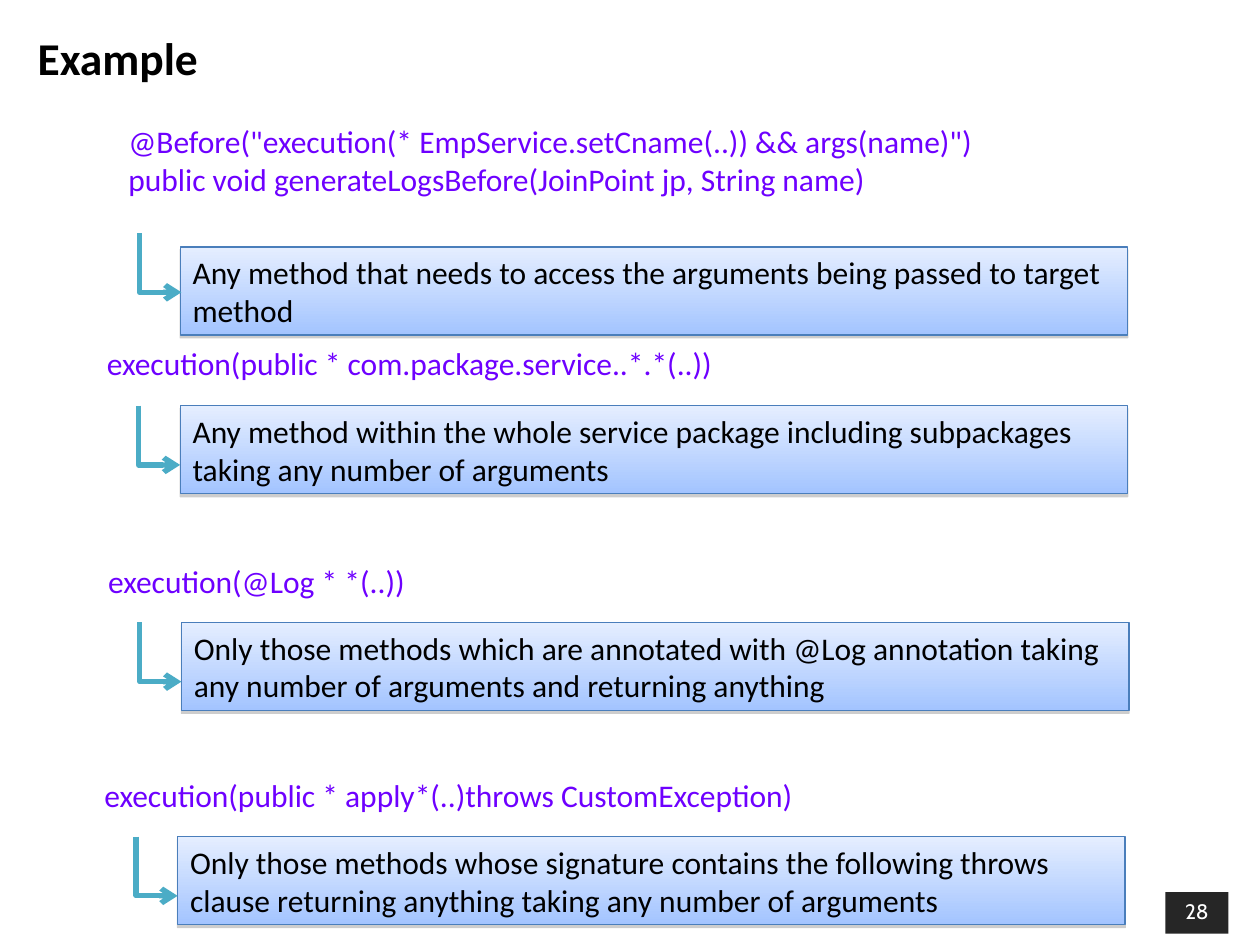
from lxml.etree import SubElement
from pptx import Presentation
from pptx.dml.color import RGBColor
from pptx.enum.shapes import MSO_CONNECTOR, MSO_SHAPE
from pptx.enum.text import MSO_ANCHOR, MSO_AUTO_SIZE, PP_ALIGN
from pptx.oxml.ns import qn
from pptx.util import Inches, Pt

BLACK = RGBColor(0x00, 0x00, 0x00)
WHITE = RGBColor(0xFF, 0xFF, 0xFF)
CHARCOAL = RGBColor(0x26, 0x26, 0x26)
VIOLET = RGBColor(0x6E, 0x00, 0xFF)
PALE_BLUE = RGBColor(0xE5, 0xEE, 0xFF)
LIGHT_BLUE = RGBColor(0xA3, 0xC4, 0xFF)
BORDER_BLUE = RGBColor(0x4A, 0x7E, 0xBB)
TEAL = RGBColor(0x4B, 0xAC, 0xC6)
SHADOW_GREY = RGBColor(0x80, 0x80, 0x80)

TITLE_FONT = {"name": "Calibri", "size": Pt(26), "bold": True}
BODY_FONT = {"name": "Calibri", "size": Pt(18)}
NUMBER_FONT = {"name": "Cabin", "size": Pt(12)}

BOX_WIDTH, BOX_HEIGHT = 7.52, 0.7
CODE_WIDTH = 8.2
ELBOW_WIDTH, ELBOW_HEIGHT = 0.33, 0.47

# code lines, code position, explanation, box position, elbow start
EXAMPLES = [
    (["execution(public * com.package.service..*.*(..))"], (0.75, 2.68),
     "Any method within the whole service package including subpackages "
     "taking any number of arguments", (1.43, 3.22), (1.1, 3.22)),
    (["execution(@Log * *(..))"], (0.76, 4.41),
     "Only those methods which are annotated with @Log annotation taking "
     "any number of arguments and returning anything", (1.44, 4.94), (1.11, 4.94)),
    (["execution(public * apply*(..)throws CustomException)"], (0.73, 6.11),
     "Only those methods whose signature contains the following throws "
     "clause returning anything taking any number of arguments", (1.41, 6.64), (1.08, 6.64)),
    (['@Before("execution(* EmpService.setCname(..)) && args(name)")',
      "public void generateLogsBefore(JoinPoint jp, String name)"], (0.92, 0.92),
     "Any method that needs to access the arguments being passed to target "
     "method", (1.43, 1.96), (1.11, 1.85)),
]


def write_text(shape, lines, font, color, align=PP_ALIGN.LEFT,
               anchor=MSO_ANCHOR.TOP, auto_size=MSO_AUTO_SIZE.SHAPE_TO_FIT_TEXT):
    frame = shape.text_frame
    frame.word_wrap = True
    frame.auto_size = auto_size
    frame.vertical_anchor = anchor
    frame.text = "\n".join(lines)
    for paragraph in frame.paragraphs:
        paragraph.alignment = align
        for name, value in font.items():
            setattr(paragraph.font, name, value)
        paragraph.font.color.rgb = color


def add_text(slide, position, size, lines, font, color, **layout):
    shape = slide.shapes.add_textbox(*map(Inches, position + size))
    write_text(shape, lines, font, color, **layout)


def add_rectangle(slide, position, size):
    shape = slide.shapes.add_shape(MSO_SHAPE.RECTANGLE, *map(Inches, position + size))
    shape.shadow.inherit = False
    return shape


def add_drop_shadow(shape):
    effects = shape._element.spPr.find(qn("a:effectLst"))
    shadow = SubElement(effects, qn("a:outerShdw"), blurRad="0", dist=str(Pt(1.6)),
                        dir="5400000", rotWithShape="0")
    color = SubElement(shadow, qn("a:srgbClr"), val=str(SHADOW_GREY))
    SubElement(color, qn("a:alpha"), val="38000")


def add_explanation(slide, position, text):
    shape = add_rectangle(slide, position, (BOX_WIDTH, BOX_HEIGHT))
    shape.fill.gradient()
    shape.fill.gradient_angle = 270
    for stop, color, place in zip(shape.fill.gradient_stops, (PALE_BLUE, LIGHT_BLUE), (0, 1)):
        stop.color.rgb = color
        stop.position = place
    shape.line.color.rgb = BORDER_BLUE
    shape.line.width = Pt(0.75)
    add_drop_shadow(shape)
    write_text(shape, [text], BODY_FONT, BLACK)


def add_elbow_arrow(slide, start):
    """Draw an arrow going down from start, then right: a mirrored bend on its side."""
    center_x = start[0] + ELBOW_WIDTH / 2
    center_y = start[1] + ELBOW_HEIGHT / 2
    half_length, half_depth = ELBOW_HEIGHT / 2, ELBOW_WIDTH / 2
    connector = slide.shapes.add_connector(
        MSO_CONNECTOR.ELBOW,
        Inches(center_x + half_length), Inches(center_y - half_depth),
        Inches(center_x - half_length), Inches(center_y + half_depth))
    connector.line.color.rgb = TEAL
    connector.line.width = Pt(3)
    properties = connector._element.spPr
    properties.find(qn("a:xfrm")).set("rot", str(270 * 60000))
    properties.find(qn("a:prstGeom")).set("prst", "bentConnector2")
    SubElement(properties.find(qn("a:ln")), qn("a:tailEnd"), type="arrow")
    SubElement(properties, qn("a:effectLst"))


def add_page_number(slide, number):
    shape = add_rectangle(slide, (9.25, 7.08), (0.5, 0.33))
    shape.fill.solid()
    shape.fill.fore_color.rgb = CHARCOAL
    shape.line.fill.background()
    write_text(shape, [number], NUMBER_FONT, WHITE, align=PP_ALIGN.CENTER)


def main():
    presentation = Presentation()
    presentation.slide_width = Inches(10)
    presentation.slide_height = Inches(7.5)
    slide = presentation.slides.add_slide(presentation.slide_layouts[6])

    add_page_number(slide, "28")
    add_text(slide, (0.2, 0.15), (9.65, 0.61), ["Example"], TITLE_FONT, BLACK,
             anchor=MSO_ANCHOR.MIDDLE, auto_size=MSO_AUTO_SIZE.NONE)
    for code, code_position, explanation, box_position, elbow_start in EXAMPLES:
        code_size = (CODE_WIDTH, 0.1 + 0.3 * len(code))
        add_text(slide, code_position, code_size, code, BODY_FONT, VIOLET)
        add_explanation(slide, box_position, explanation)
        add_elbow_arrow(slide, elbow_start)

    presentation.save("out.pptx")


if __name__ == "__main__":
    main()
